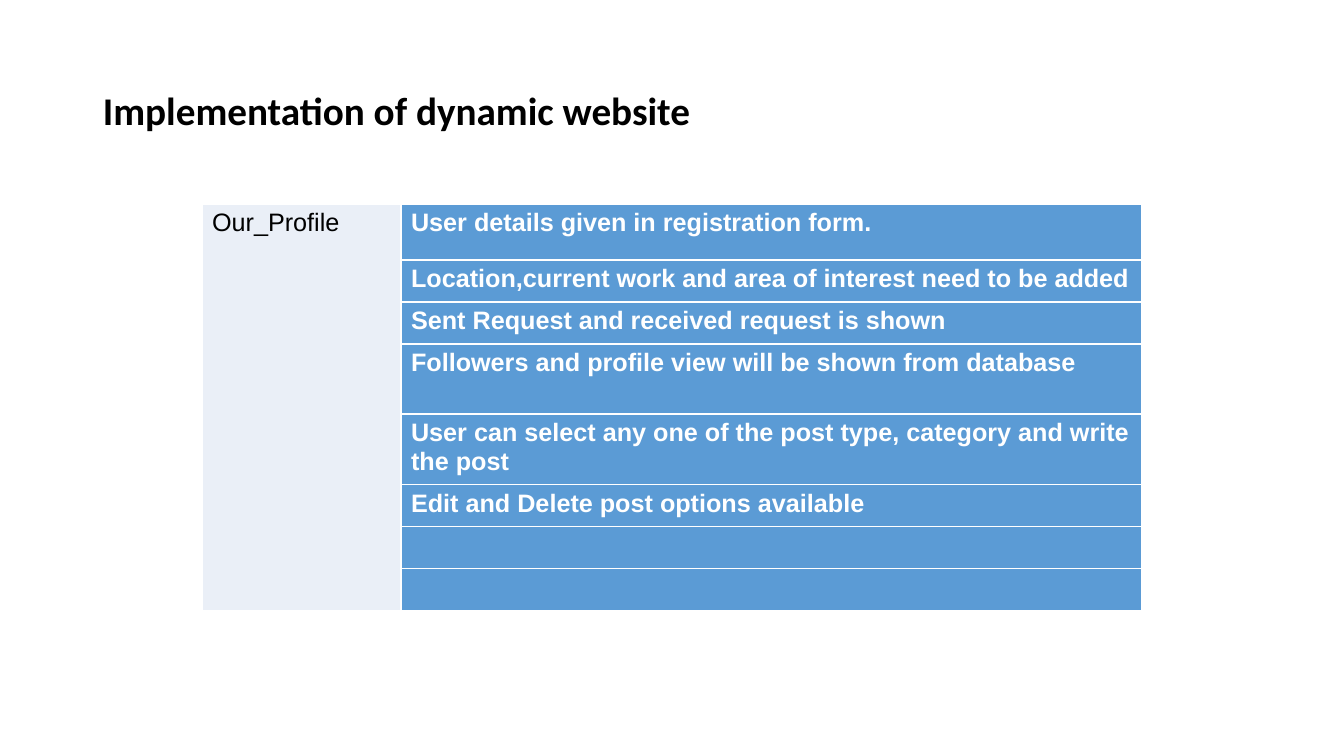
from dataclasses import dataclass

from lxml import etree
from pptx import Presentation
from pptx.dml.color import RGBColor
from pptx.enum.text import MSO_ANCHOR
from pptx.oxml.ns import qn
from pptx.util import Emu, Pt

EMU_PER_PIXEL = 914400 / 100.8


@dataclass(frozen=True)
class Theme:
    ink: str = "000000"
    paper: str = "FFFFFF"
    label_fill: str = "EAEFF7"
    detail_fill: str = "5B9BD5"
    title_font: str = "Calibri"
    body_font: str = "Arial"
    title_size: int = 28
    body_size: int = 18
    border_width: int = 1


THEME = Theme()


def px(pixels):
    return Emu(round(pixels * EMU_PER_PIXEL))


def write(frame, text, font, size, color, bold):
    run = frame.paragraphs[0].add_run()
    run.text = text
    run.font.name = font
    run.font.size = Pt(size)
    run.font.bold = bold
    run.font.color.rgb = RGBColor.from_string(color)


def style_cell(cell, fill):
    """Set white borders on every side, then the fill."""
    properties = cell._tc.get_or_add_tcPr()
    for side in ("lnL", "lnR", "lnT", "lnB"):
        line = etree.SubElement(properties, qn(f"a:{side}"),
                                w=str(Pt(THEME.border_width)))
        solid = etree.SubElement(line, qn("a:solidFill"))
        etree.SubElement(solid, qn("a:srgbClr"), val=THEME.paper)
    cell.fill.solid()
    cell.fill.fore_color.rgb = RGBColor.from_string(fill)


def add_title(slide, box, text):
    frame = slide.shapes.add_textbox(*map(px, box)).text_frame
    frame.word_wrap = True
    frame.vertical_anchor = MSO_ANCHOR.MIDDLE
    frame.paragraphs[0].line_spacing = 0.9
    write(frame, text, THEME.title_font, THEME.title_size, THEME.ink, True)


def add_profile_table(slide, box, label, label_width, details):
    """Place one merged label beside a column of (row height, text) details."""
    width = box[2]
    table = slide.shapes.add_table(len(details), 2, *map(px, box)).table
    table.first_row = table.horz_banding = False
    for column, column_width in zip(table.columns, (label_width, width - label_width)):
        column.width = px(column_width)

    # Detail rows
    for index, (height, text) in enumerate(details):
        table.rows[index].height = px(height)
        style_cell(table.cell(index, 0), THEME.label_fill)
        detail = table.cell(index, 1)
        style_cell(detail, THEME.detail_fill)
        if text:
            write(detail.text_frame, text, THEME.body_font, THEME.body_size,
                  THEME.paper, True)

    # Label spanning all rows
    label_cell = table.cell(0, 0)
    label_cell.merge(table.cell(len(details) - 1, 0))
    write(label_cell.text_frame, label, THEME.body_font, THEME.body_size,
          THEME.ink, False)


ROW = 42
PROFILE_DETAILS = [
    (56, "User details given in registration form."),
    (ROW, "Location,current work and area of interest need to be added "),
    (ROW, "Sent Request and received request is shown"),
    (70, "Followers and profile view will be shown from database "),
    (67, "User can select any one of the post type, category and write the post "),
    (ROW, "Edit and Delete post options available"),
    (ROW, ""),
    (ROW, ""),
]

presentation = Presentation()
presentation.slide_width, presentation.slide_height = px(1344), px(756)
slide = presentation.slides.add_slide(presentation.slide_layouts[6])

add_title(slide, (93, 40, 1159, 146), "Implementation of dynamic website")
table_height = sum(height for height, _ in PROFILE_DETAILS)
add_profile_table(slide, (202, 204, 940, table_height), "Our_Profile", 199,
                  PROFILE_DETAILS)

presentation.save("out.pptx")
